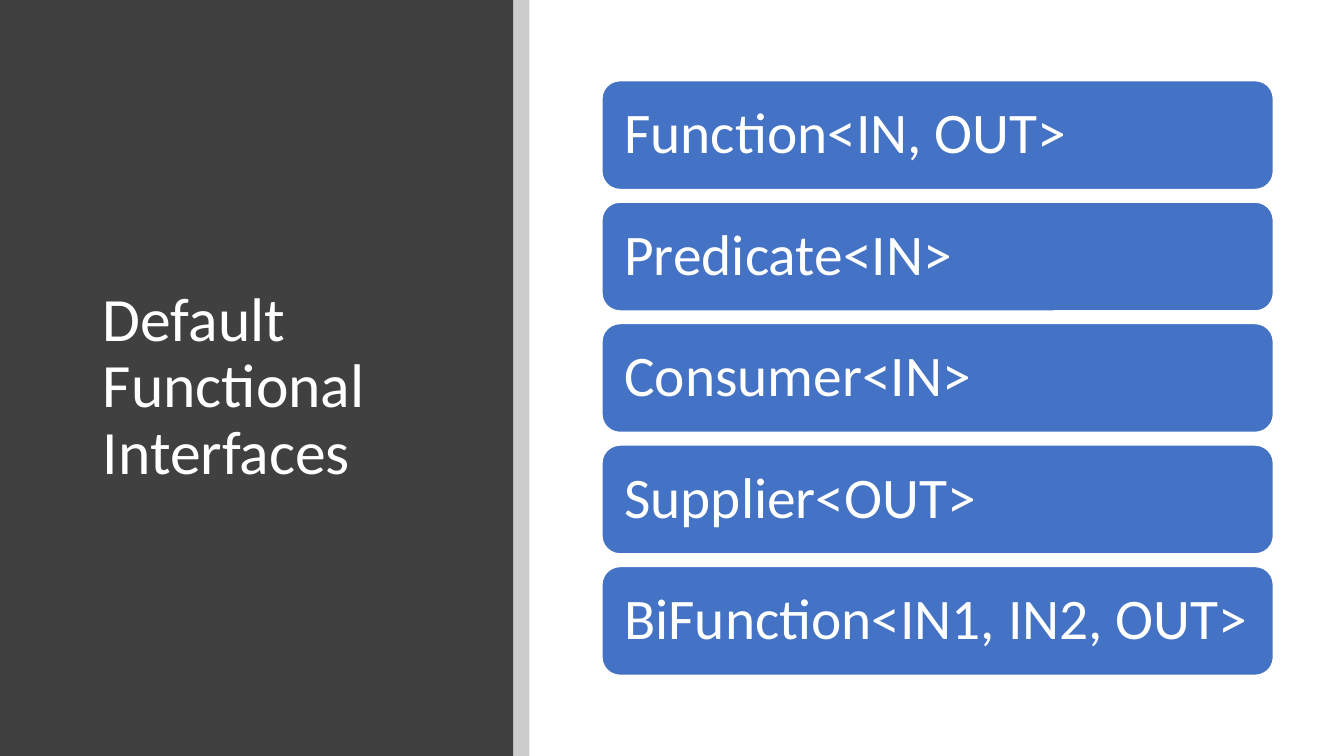
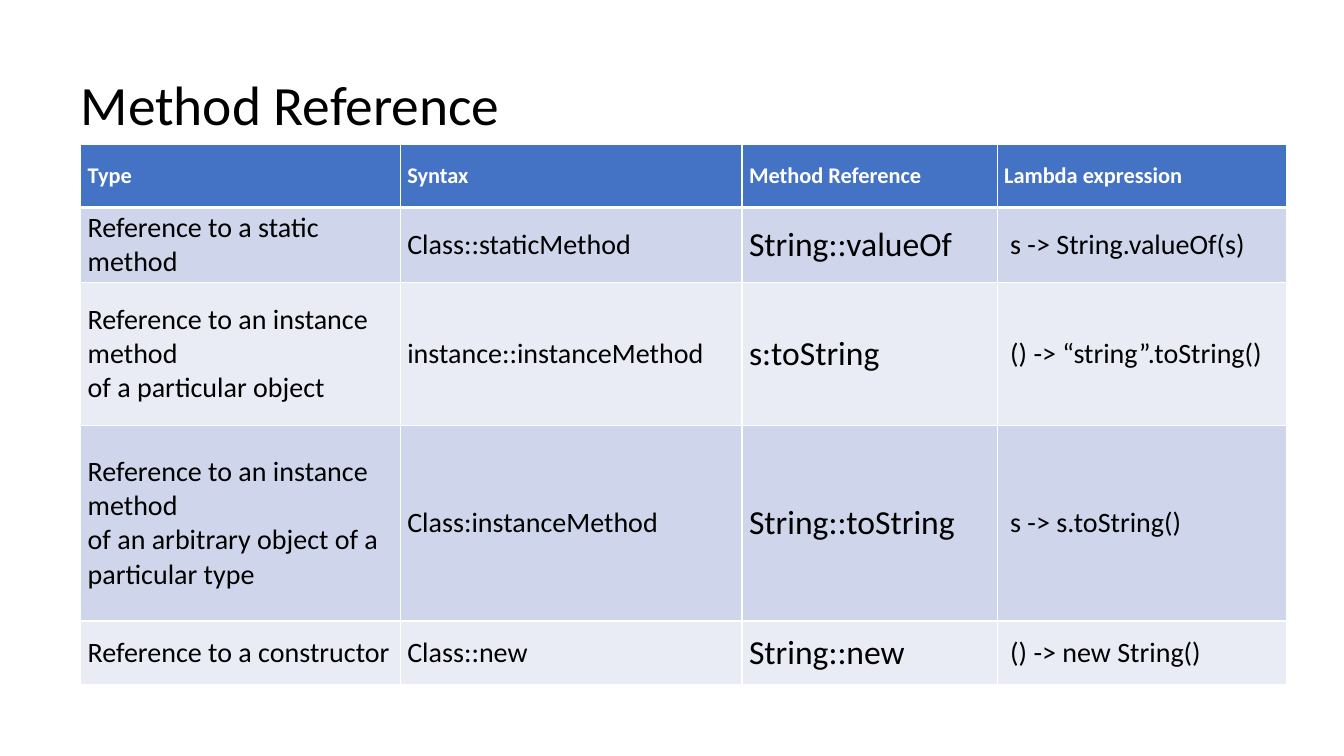
"""Build two slides on functional interfaces and method references."""
from lxml import etree
from pptx import Presentation
from pptx.dml.color import RGBColor
from pptx.enum.shapes import MSO_SHAPE
from pptx.enum.text import MSO_ANCHOR, MSO_AUTO_SIZE, PP_ALIGN
from pptx.oxml.ns import qn
from pptx.util import Inches, Pt

RECTANGLE = MSO_SHAPE.RECTANGLE
ROUNDED = MSO_SHAPE.ROUNDED_RECTANGLE
MIDDLE = MSO_ANCHOR.MIDDLE
NO_AUTOFIT = MSO_AUTO_SIZE.NONE
LEFT = PP_ALIGN.LEFT

FONT = "Calibri"
WHITE = RGBColor(0xFF, 0xFF, 0xFF)
BLACK = RGBColor(0x00, 0x00, 0x00)
CHARCOAL = RGBColor(0x40, 0x40, 0x40)
BLUE = RGBColor(0x44, 0x72, 0xC4)
ROW_FILLS = (RGBColor(0xCF, 0xD5, 0xEA), RGBColor(0xE9, 0xEB, 0xF5))

INTERFACES = (
    "Function<IN, OUT>",
    "Predicate<IN>",
    "Consumer<IN>",
    "Supplier<OUT>",
    "BiFunction<IN1, IN2, OUT>",
)
CARD_LEFT, CARD_TOP, CARD_WIDTH, CARD_HEIGHT = 5.97, 0.8, 6.66, 1.08
CARD_BOTTOM = 6.7
CARD_PITCH = (CARD_BOTTOM - CARD_TOP - CARD_HEIGHT) / (len(INTERFACES) - 1)

REFERENCES = (
    ("Type", "Syntax", "Method Reference", "Lambda expression"),
    ("Reference to a static method", "Class::staticMethod",
     "String::valueOf", "s -> String.valueOf(s)"),
    ("Reference to an instance method\nof a particular object",
     "instance::instanceMethod", "s:toString", "() -> “string”.toString()"),
    ("Reference to an instance method\nof an arbitrary object of a particular type",
     "Class:instanceMethod", "String::toString", "s -> s.toString()"),
    ("Reference to a constructor", "Class::new",
     "String::new", "() -> new String()"),
)
COLUMN_WIDTHS = (3.17, 3.39, 2.53, 2.87)
ROW_HEIGHTS = (0.63, 0.63, 1.42, 1.94, 0.63)
BODY_SIZES = (20, 20, 24, 20)
HEADER_SIZE = 16
LAMBDA_COLUMN = 3


def write(frame, text, size, color, bold=False, line_spacing=None):
    frame.word_wrap = True
    frame.vertical_anchor = MIDDLE
    paragraph = frame.paragraphs[0]
    paragraph.alignment = LEFT
    if line_spacing:
        paragraph.line_spacing = line_spacing
    for index, line in enumerate(text.split("\n")):
        if index:
            paragraph.add_line_break()
        run = paragraph.add_run()
        run.text = line
        font = run.font
        font.name, font.size, font.bold = FONT, Pt(size), bold
        font.color.rgb = color


def add_titled_slide(presentation, text, box, size, color):
    slide = presentation.slides.add_slide(presentation.slide_layouts[5])
    title = slide.shapes.title
    title.left, title.top, title.width, title.height = map(Inches, box)
    title.text_frame.auto_size = NO_AUTOFIT
    write(title.text_frame, text, size, color, line_spacing=0.9)
    return slide


def add_box(slide, preset, left, top, width, height, color):
    shape = slide.shapes.add_shape(preset, *map(Inches, (left, top, width, height)))
    shape.shadow.inherit = False
    shape.fill.solid()
    shape.fill.fore_color.rgb = color
    shape.line.fill.background()
    return shape


def set_borders(cell, widths):
    properties = cell._tc.get_or_add_tcPr()
    for index, (side, width) in enumerate(widths.items()):
        line = etree.Element(qn(f"a:ln{side}"), w=str(Pt(width)))
        fill = etree.SubElement(line, qn("a:solidFill"))
        etree.SubElement(fill, qn("a:srgbClr"), val=str(WHITE))
        properties.insert(index, line)


def build_interfaces(presentation):
    slide = add_titled_slide(presentation, "Default Functional Interfaces",
                             (0.92, 0.89, 3.65, 5.91), 44, WHITE)
    add_box(slide, RECTANGLE, 0, 0, 5.09, 7.5, CHARCOAL)
    band = add_box(slide, RECTANGLE, 5.09, 0, 0.16, 7.5, BLACK)
    band_color = band._element.spPr.find(f"{qn('a:solidFill')}/{qn('a:srgbClr')}")
    etree.SubElement(band_color, qn("a:alpha"), val="20000")
    slide.shapes._spTree.append(slide.shapes.title._element)
    for index, name in enumerate(INTERFACES):
        card = add_box(slide, ROUNDED, CARD_LEFT, CARD_TOP + index * CARD_PITCH,
                       CARD_WIDTH, CARD_HEIGHT, BLUE)
        card.line.color.rgb = WHITE
        card.line.width = Pt(1)
        frame = card.text_frame
        frame.margin_left, frame.margin_right = Inches(0.17), Inches(0.1)
        frame.margin_top = frame.margin_bottom = Inches(0.17)
        write(frame, name, 41, WHITE, line_spacing=0.9)


def build_references(presentation):
    slide = add_titled_slide(presentation, "Method Reference",
                             (0.7, 0.7, 11.97, 0.73), 39.6, BLACK)
    table = slide.shapes.add_table(
        len(REFERENCES), len(COLUMN_WIDTHS), Inches(0.8), Inches(1.43),
        Inches(sum(COLUMN_WIDTHS)), Inches(sum(ROW_HEIGHTS))).table
    for column, width in zip(table.columns, COLUMN_WIDTHS):
        column.width = Inches(width)
    for row_index, values in enumerate(REFERENCES):
        table.rows[row_index].height = Inches(ROW_HEIGHTS[row_index])
        header = row_index == 0
        for column_index, text in enumerate(values):
            cell = table.cell(row_index, column_index)
            indented = column_index == LAMBDA_COLUMN and not header
            cell.margin_left = Inches(0.13 if indented else 0.07)
            cell.margin_right = Inches(0.07)
            cell.margin_top = cell.margin_bottom = Inches(0.03)
            cell.vertical_anchor = MIDDLE
            cell.fill.solid()
            cell.fill.fore_color.rgb = BLUE if header else ROW_FILLS[(row_index - 1) % 2]
            set_borders(cell, {"L": 1, "R": 1, "T": 3 if row_index == 1 else 1,
                               "B": 3 if header else 1})
            write(cell.text_frame, text,
                  HEADER_SIZE if header else BODY_SIZES[column_index],
                  WHITE if header else BLACK, bold=header)


def main():
    presentation = Presentation()
    presentation.slide_width = Inches(13.33)
    presentation.slide_height = Inches(7.5)
    build_interfaces(presentation)
    build_references(presentation)
    presentation.save("out.pptx")


if __name__ == "__main__":
    main()
